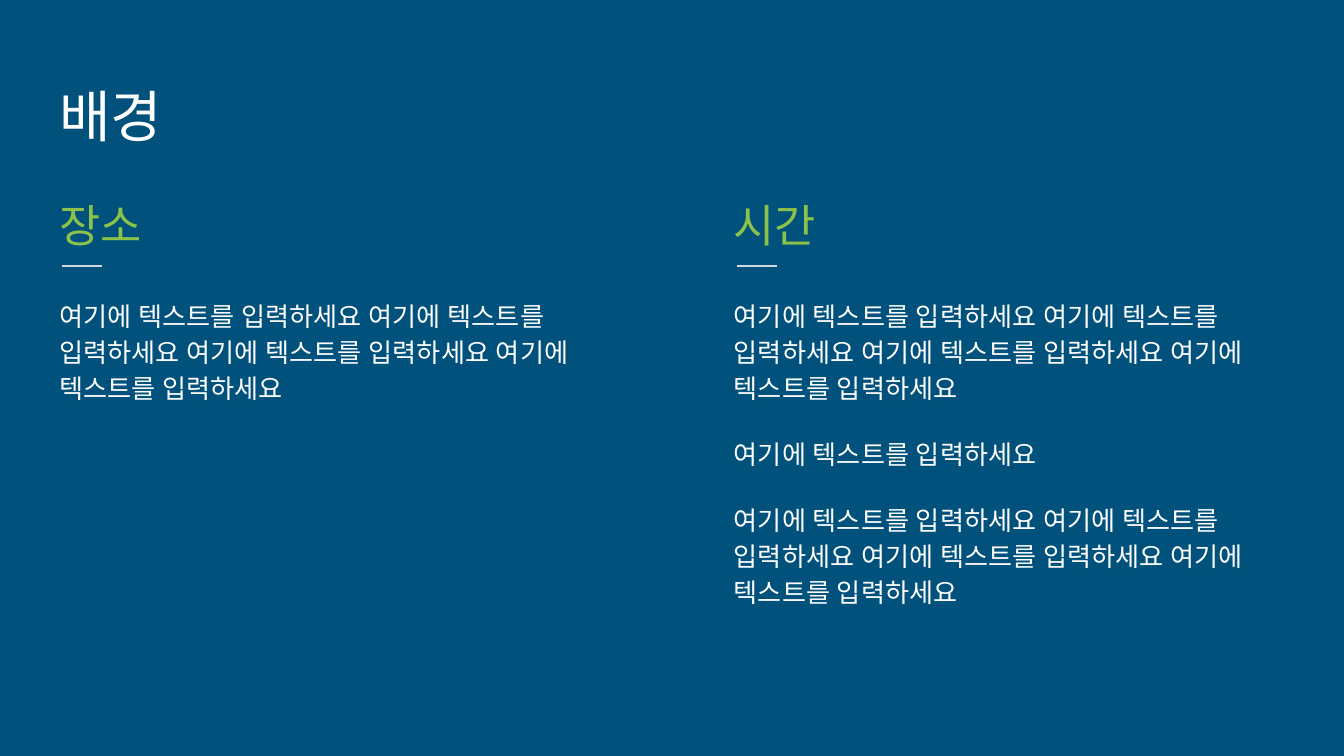
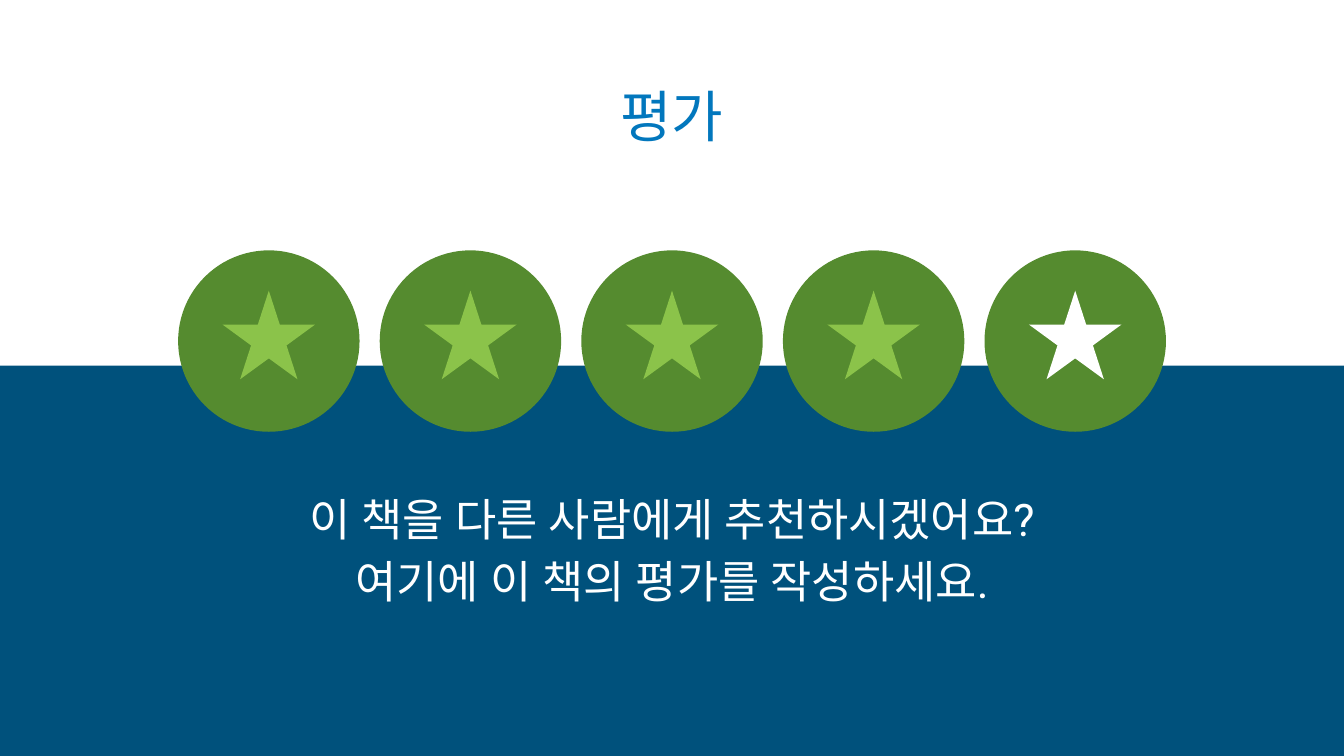
from dataclasses import dataclass
from typing import NamedTuple

from lxml.etree import SubElement
from pptx import Presentation
from pptx.dml.color import RGBColor
from pptx.enum.shapes import MSO_CONNECTOR, MSO_SHAPE
from pptx.enum.text import MSO_ANCHOR as Anchor, MSO_AUTO_SIZE, PP_ALIGN as Align
from pptx.oxml.ns import qn
from pptx.util import Inches, Pt

COLUMNS, ROWS = 100, 56.25
CELL = Inches(10) / COLUMNS


@dataclass(frozen=True)
class Theme:
    navy: str = "00517C"
    blue: str = "0277BD"
    green: str = "558B2F"
    lime: str = "8BC34A"
    white: str = "FFFFFF"
    rule: str = "CFD8DC"
    title_font: str = "Roboto Slab"
    body_font: str = "Roboto"
    title_size: float = 30
    lead_size: float = 24
    text_size: float = 14
    line_spacing: float = 1.15
    paragraph_gap: float = 16
    rule_width: float = 0.75


THEME = Theme()


class Box(NamedTuple):
    """Left, top, width and height in grid cells."""
    left: float
    top: float
    width: float
    height: float


class TextStyle(NamedTuple):
    font: str
    size: float
    color: str
    align: Align = Align.LEFT
    anchor: Anchor = Anchor.TOP
    line_spacing: float = THEME.line_spacing
    gap: float = THEME.paragraph_gap


class Topic(NamedTuple):
    heading: str
    paragraphs: list[str]


MARGIN = 3.4
FULL_WIDTH = COLUMNS - 2 * MARGIN
TITLE_BOX = Box(MARGIN, 4.1, FULL_WIDTH, 8)
HEADING_STYLE = TextStyle(THEME.body_font, THEME.lead_size, THEME.lime)
TEXT_STYLE = TextStyle(THEME.body_font, THEME.text_size, THEME.white)
LEAD_STYLE = TextStyle(THEME.body_font, THEME.lead_size, THEME.white, Align.CENTER)

TOPIC_WIDTH, TOPIC_PITCH = 42.1, 50.2
PROMPT = "여기에 텍스트를 입력하세요"
LONG_PROMPT = " ".join([PROMPT] * 4)
TOPICS = [
    Topic("장소", [LONG_PROMPT]),
    Topic("시간", [LONG_PROMPT, PROMPT, LONG_PROMPT]),
]

BADGE_COUNT, STARS_EARNED = 5, 4
BADGE_SIZE, BADGE_PITCH, BADGE_TOP = 13.5, 15, 18.63
STAR_WIDTH, STAR_HEIGHT, STAR_DROP = 6.9, 6.6, 3


def cells(count: float) -> int:
    return round(count * CELL)


def rgb(color: str) -> RGBColor:
    return RGBColor.from_string(color)


def place(shape, box: Box) -> None:
    shape.left, shape.top, shape.width, shape.height = map(cells, box)


def remove_bullet(paragraph) -> None:
    properties = paragraph._p.get_or_add_pPr()
    properties.set("marL", "0")
    properties.set("indent", "0")
    SubElement(properties, qn("a:buNone"))


def add_run(paragraph, text: str, style: TextStyle) -> None:
    """Add a run whose font also covers East Asian and complex scripts."""
    run = paragraph.add_run()
    run.text = text
    run.font.name = style.font
    run.font.size = Pt(style.size)
    run.font.bold = False
    run.font.color.rgb = rgb(style.color)
    for script in ("a:ea", "a:cs"):
        SubElement(run._r.get_or_add_rPr(), qn(script)).set("typeface", style.font)


def write(placeholder, box: Box, paragraphs: list[str], style: TextStyle) -> None:
    """Fill a placeholder; a newline within a paragraph becomes a line break."""
    place(placeholder, box)
    frame = placeholder.text_frame
    frame.word_wrap = True
    frame.auto_size = MSO_AUTO_SIZE.NONE
    frame.vertical_anchor = style.anchor
    frame.margin_left = frame.margin_right = cells(1)
    frame.margin_top = frame.margin_bottom = cells(1)
    for index, text in enumerate(paragraphs):
        paragraph = frame.add_paragraph() if index else frame.paragraphs[0]
        paragraph.alignment = style.align
        paragraph.line_spacing = style.line_spacing
        paragraph.space_before = Pt(style.gap if index else 0)
        paragraph.space_after = Pt(0 if index < len(paragraphs) - 1 else style.gap)
        remove_bullet(paragraph)
        for line_index, line in enumerate(text.split("\n")):
            if line_index:
                paragraph.add_line_break()
            add_run(paragraph, line, style)


def add_slide(presentation, layout_name: str, title: str, color: str, align: Align):
    """Add a navy slide with the shared title style."""
    slide = presentation.slides.add_slide(presentation.slide_layouts.get_by_name(layout_name))
    slide.background.fill.solid()
    slide.background.fill.fore_color.rgb = rgb(THEME.navy)
    style = TextStyle(THEME.title_font, THEME.title_size, color, align, Anchor.BOTTOM, 1, 0)
    write(slide.shapes.title, TITLE_BOX, [title], style)
    return slide


def add_filled(shapes, kind: MSO_SHAPE, box: Box, color: str):
    shape = shapes.add_shape(kind, *map(cells, box))
    shape.shadow.inherit = False
    shape.fill.solid()
    shape.fill.fore_color.rgb = rgb(color)
    shape.line.fill.background()
    return shape


def add_rule(slide, left: float, top: float, length: float) -> None:
    rule = slide.shapes.add_connector(
        MSO_CONNECTOR.STRAIGHT, *map(cells, (left, top, left + length, top)))
    rule.line.color.rgb = rgb(THEME.rule)
    rule.line.width = Pt(THEME.rule_width)
    SubElement(rule._element.spPr, qn("a:effectLst"))


def add_badge(slide, left: float, star_color: str) -> None:
    badge = slide.shapes.add_group_shape().shapes
    add_filled(badge, MSO_SHAPE.OVAL, Box(left, BADGE_TOP, BADGE_SIZE, BADGE_SIZE), THEME.green)
    star_left = left + (BADGE_SIZE - STAR_WIDTH) / 2
    star_box = Box(star_left, BADGE_TOP + STAR_DROP, STAR_WIDTH, STAR_HEIGHT)
    add_filled(badge, MSO_SHAPE.STAR_5_POINT, star_box, star_color)


def build_background_slide(presentation) -> None:
    slide = add_slide(presentation, "Comparison", "배경", THEME.white, Align.LEFT)
    for index, topic in enumerate(TOPICS):
        left = MARGIN + index * TOPIC_PITCH
        heading = slide.placeholders[1 + 2 * index]
        body = slide.placeholders[2 + 2 * index]
        write(heading, Box(left, 13.1, TOPIC_WIDTH, 5.7), [topic.heading], HEADING_STYLE)
        add_rule(slide, left + 1.2, 19.8, 3)
        write(body, Box(left, 21, TOPIC_WIDTH, 30.1), topic.paragraphs, TEXT_STYLE)


def build_rating_slide(presentation) -> None:
    slide = add_slide(presentation, "Title and Content", "평가", THEME.blue, Align.CENTER)
    band = add_filled(slide.shapes, MSO_SHAPE.RECTANGLE, Box(0, 0, 100.2, 27.2), THEME.white)
    slide.shapes.title._element.addprevious(band._element)
    row_width = (BADGE_COUNT - 1) * BADGE_PITCH + BADGE_SIZE
    first_left = (COLUMNS - row_width) / 2
    for index in range(BADGE_COUNT):
        color = THEME.lime if index < STARS_EARNED else THEME.white
        add_badge(slide, first_left + index * BADGE_PITCH, color)
    question = "이 책을 다른 사람에게 추천하시겠어요?\n여기에 이 책의 평가를 작성하세요."
    write(slide.placeholders[1], Box(MARGIN, 35, FULL_WIDTH, 17.6), [question], LEAD_STYLE)


def main() -> None:
    presentation = Presentation()
    presentation.slide_width, presentation.slide_height = cells(COLUMNS), cells(ROWS)
    build_background_slide(presentation)
    build_rating_slide(presentation)
    presentation.save("out.pptx")


if __name__ == "__main__":
    main()
